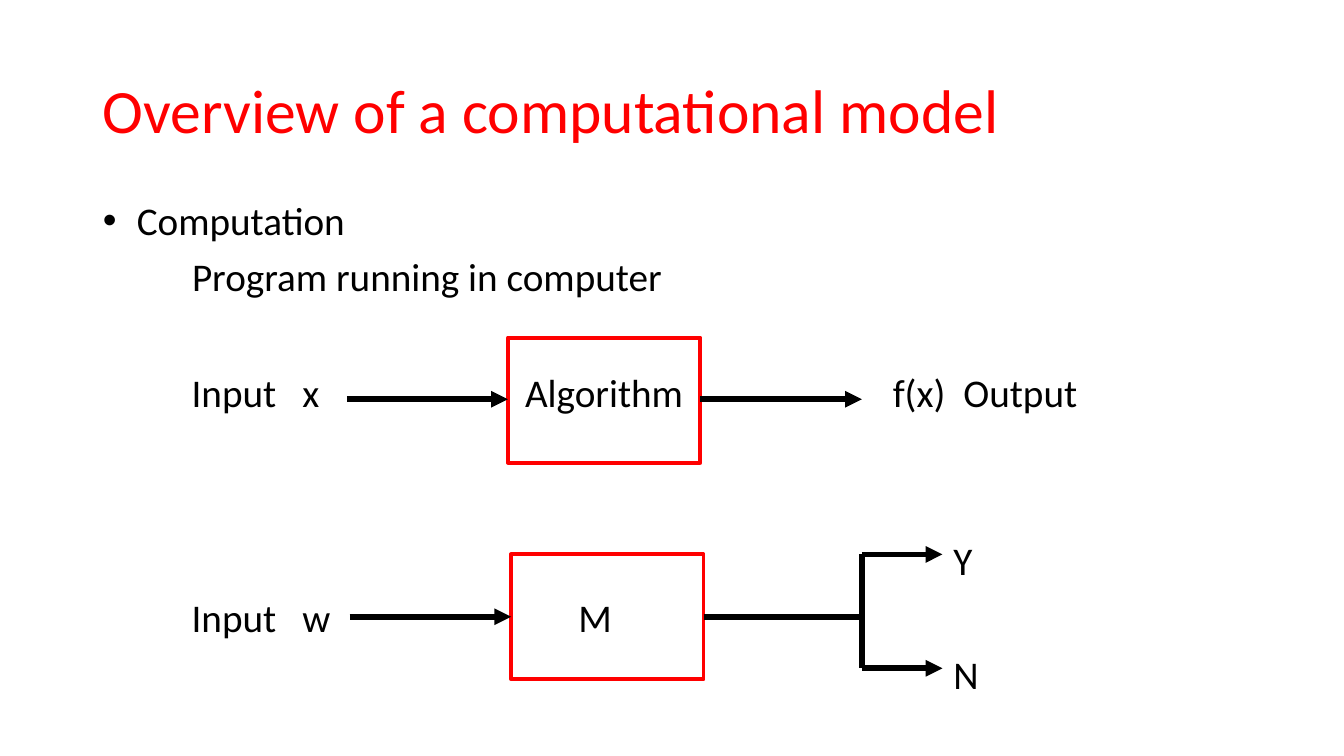
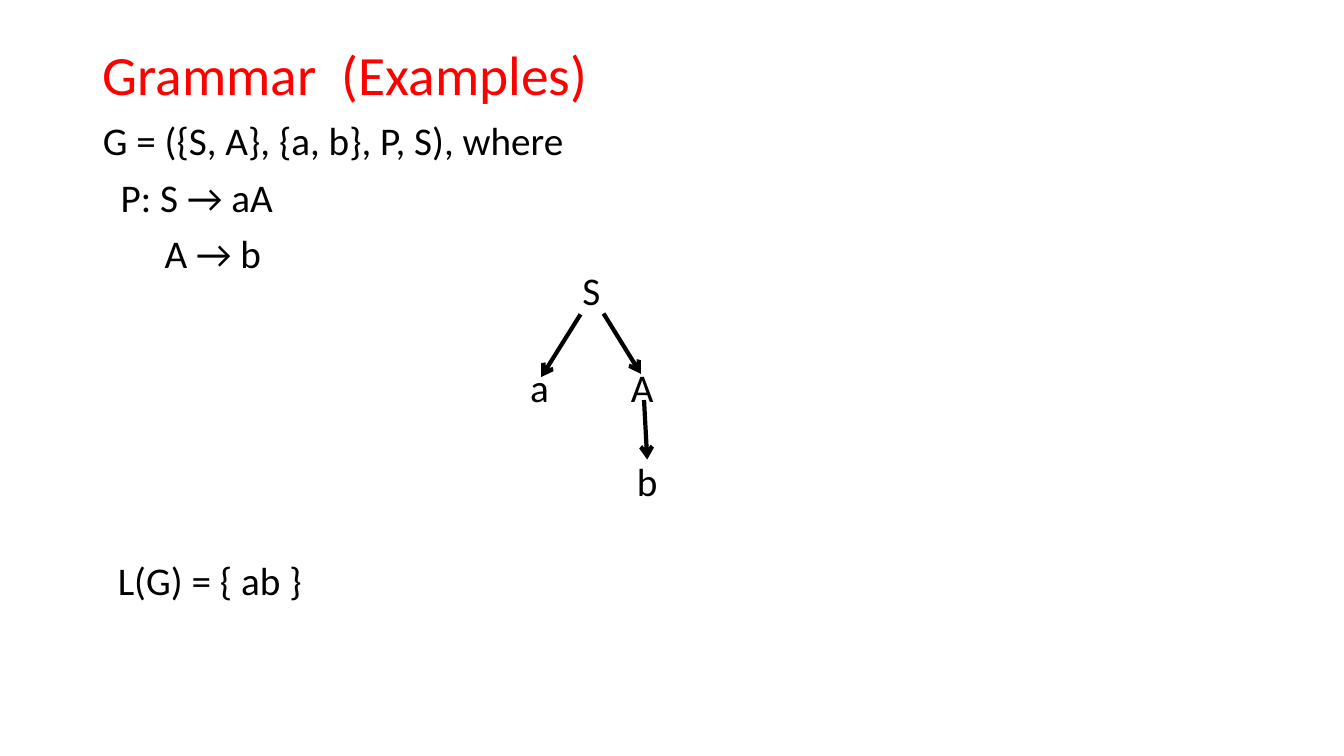
"""Build two slides on a computational model and a grammar example."""
from dataclasses import dataclass

from lxml.etree import SubElement
from pptx import Presentation
from pptx.dml.color import RGBColor
from pptx.enum.shapes import MSO_CONNECTOR as Connector, MSO_SHAPE as Preset
from pptx.enum.text import MSO_ANCHOR as Anchor, MSO_AUTO_SIZE as AutoSize, PP_ALIGN as Align
from pptx.oxml.ns import qn
from pptx.util import Cm, Pt


@dataclass(frozen=True)
class Theme:
    """Colours, font and sizes shared by the slides."""

    font: str = "Calibri"
    accent: RGBColor = RGBColor(0xFF, 0x00, 0x00)
    ink: RGBColor = RGBColor(0x00, 0x00, 0x00)
    title_size: float = 44
    small_title_size: float = 39.6
    text_size: float = 28
    line_spacing: float = 0.9
    paragraph_gap: float = 10
    block_line: float = 2.75
    flow_line: float = 4
    tree_line: float = 3
    margin: float = 2.34
    content_width: float = 29.21
    label_height: float = 1.2


@dataclass(frozen=True)
class Item:
    """A body paragraph with its indent in centimetres."""

    text: str
    indent: float = 0
    bullet: bool = False


@dataclass(frozen=True)
class Label:
    """A one-line text placed by its left edge and middle height."""

    text: str
    left: float
    middle: float
    width: float = 1


@dataclass(frozen=True)
class Block:
    """An outlined box with its text and insets."""

    text: str
    left: float
    top: float
    inset_right: float = 0
    inset_bottom: float = 0
    width: float = 4.85
    height: float = 3.15


@dataclass(frozen=True)
class Link:
    """A straight line with an optional arrowhead at its end."""

    x1: float
    y1: float
    x2: float
    y2: float
    head: str = ""


THEME = Theme()

FLOW_ITEMS = (
    Item("Computation", 0.86, bullet=True),
    Item("Program running in computer", 2.25),
)
GRAMMAR_ITEMS = (
    Item("G = ({S, A}, {a, b}, P, S), where"),
    Item("P: S → aA", 0.45),
    Item("A → b", 1.56),
)

INPUT_LEFT, SYMBOL_LEFT, ANSWER_LEFT = 4.83, 7.62, 24.03
FUNCTION_TEXT, FUNCTION_AXIS, MACHINE_AXIS = 9.88, 10.06, 15.54
FORK, FORK_END, YES_AXIS, NO_AXIS = 21.72, 23.75, 13.97, 16.84

FLOW_BLOCKS = (
    Block("Algorithm", 12.8, 8.51, inset_bottom=0.4),
    Block("M", 12.88, 13.97, inset_right=0.62),
)
FLOW_LABELS = (
    Label("Input", INPUT_LEFT, FUNCTION_TEXT, 2.5),
    Label("x", SYMBOL_LEFT, FUNCTION_TEXT),
    Label("f(x)", 22.5, FUNCTION_TEXT, 1.7),
    Label("Output", 24.28, FUNCTION_TEXT, 3.5),
    Label("Input", INPUT_LEFT, MACHINE_AXIS, 2.5),
    Label("w", SYMBOL_LEFT, MACHINE_AXIS),
    Label("Y", ANSWER_LEFT, 14.12),
    Label("N", ANSWER_LEFT, 16.97),
)
FLOW_LINKS = (
    Link(8.74, FUNCTION_AXIS, 12.8, FUNCTION_AXIS, "triangle"),
    Link(17.65, FUNCTION_AXIS, FORK, FUNCTION_AXIS, "triangle"),
    Link(8.81, MACHINE_AXIS, 12.88, MACHINE_AXIS, "triangle"),
    Link(FORK, YES_AXIS, FORK_END, YES_AXIS, "triangle"),
    Link(FORK, NO_AXIS, FORK_END, NO_AXIS, "triangle"),
    Link(17.73, MACHINE_AXIS, FORK, MACHINE_AXIS),
    Link(FORK, YES_AXIS, FORK, NO_AXIS),
)

TREE_LABELS = (
    Label("S", 14.68, 7.31),
    Label("a", 13.36, 9.75),
    Label("A", 15.9, 9.75),
    Label("b", 16.05, 12.11),
    Label("L(G) = { ab }", 2.97, 14.6, 5.2),
)
TREE_LINKS = (
    Link(14.63, 7.92, 13.64, 9.5, "arrow"),
    Link(15.21, 7.9, 16.15, 9.42, "arrow"),
    Link(16.23, 10.08, 16.31, 11.58, "arrow"),
)


def add_span(para, text: str, size: float, color: RGBColor = THEME.ink) -> None:
    """Add one formatted run to a paragraph."""
    span = para.add_run()
    span.text = text
    span.font.name = THEME.font
    span.font.size = Pt(size)
    span.font.color.rgb = color


def place(shape, left: float, top: float, width: float, height: float) -> None:
    """Set the frame of a shape in centimetres."""
    shape.left, shape.top = Cm(left), Cm(top)
    shape.width, shape.height = Cm(width), Cm(height)


def set_frame(frame, anchor: Anchor, right: float = 0, bottom: float = 0) -> None:
    """Give a text frame its insets, wrapping and anchor."""
    frame.margin_left = frame.margin_top = 0
    frame.margin_right, frame.margin_bottom = Cm(right), Cm(bottom)
    frame.word_wrap = True
    frame.auto_size = AutoSize.NONE
    frame.vertical_anchor = anchor


def set_bullet(para, item: Item) -> None:
    """Set the indent of a paragraph and its bullet or lack of one."""
    props = para._p.get_or_add_pPr()
    indent = Cm(item.indent)
    props.set("marL", str(int(indent)))
    props.set("indent", str(-int(indent) if item.bullet else 0))
    if item.bullet:
        SubElement(props, qn("a:buFont"), typeface="Arial")
        SubElement(props, qn("a:buChar"), char="•")
    else:
        SubElement(props, qn("a:buNone"))


def add_page(deck, title: str, title_size: float, title_height: float,
             items: tuple[Item, ...], body_top: float):
    """Add a slide with its title and body list."""
    page = deck.slides.add_slide(deck.slide_layouts[1])
    heading, body = page.shapes.title, page.placeholders[1]
    place(heading, THEME.margin + 0.25, 1.02, THEME.content_width - 0.5, title_height)
    set_frame(heading.text_frame, Anchor.MIDDLE)
    para = heading.text_frame.paragraphs[0]
    para.alignment = Align.LEFT
    para.line_spacing = THEME.line_spacing
    add_span(para, title, title_size, THEME.accent)

    place(body, THEME.margin + 0.25, body_top, THEME.content_width - 0.5, 1.5 * len(items))
    frame = body.text_frame
    set_frame(frame, Anchor.TOP)
    for index, item in enumerate(items):
        para = frame.add_paragraph() if index else frame.paragraphs[0]
        set_bullet(para, item)
        para.line_spacing = THEME.line_spacing
        para.space_before = Pt(THEME.paragraph_gap if index else 0)
        add_span(para, item.text, THEME.text_size)
    return page


def add_label(page, label: Label) -> None:
    """Draw a one-line label."""
    box = page.shapes.add_textbox(
        Cm(label.left), Cm(label.middle - THEME.label_height / 2),
        Cm(label.width), Cm(THEME.label_height))
    set_frame(box.text_frame, Anchor.MIDDLE)
    add_span(box.text_frame.paragraphs[0], label.text, THEME.text_size)


def add_block(page, block: Block) -> None:
    """Draw an outlined box with centred text."""
    box = page.shapes.add_shape(
        Preset.RECTANGLE, Cm(block.left), Cm(block.top), Cm(block.width), Cm(block.height))
    box.shadow.inherit = False
    box.fill.background()
    box.line.color.rgb = THEME.accent
    box.line.width = Pt(THEME.block_line)
    set_frame(box.text_frame, Anchor.MIDDLE, block.inset_right, block.inset_bottom)
    para = box.text_frame.paragraphs[0]
    para.alignment = Align.CENTER
    add_span(para, block.text, THEME.text_size)


def add_link(page, link: Link, width: float) -> None:
    """Draw a connector with its arrowhead."""
    connector = page.shapes.add_connector(
        Connector.STRAIGHT, Cm(link.x1), Cm(link.y1), Cm(link.x2), Cm(link.y2))
    connector.line.color.rgb = THEME.ink
    connector.line.width = Pt(width)
    props = connector._element.spPr
    if link.head:
        SubElement(props.find(qn("a:ln")), qn("a:tailEnd"), type=link.head)
    SubElement(props, qn("a:effectLst"))


def add_diagram(page, labels: tuple[Label, ...], links: tuple[Link, ...],
                width: float, blocks: tuple[Block, ...] = ()) -> None:
    """Draw the blocks, links and labels of a diagram."""
    for block in blocks:
        add_block(page, block)
    for link in links:
        add_link(page, link, width)
    for label in labels:
        add_label(page, label)


def main() -> None:
    """Build and save the deck."""
    deck = Presentation()
    deck.slide_width, deck.slide_height = Cm(33.87), Cm(19.05)
    flow = add_page(deck, "Overview of a computational model", THEME.title_size, 3.68,
                    FLOW_ITEMS, 5.08)
    add_diagram(flow, FLOW_LABELS, FLOW_LINKS, THEME.flow_line, FLOW_BLOCKS)
    grammar = add_page(deck, "Grammar  (Examples)", THEME.small_title_size, 1.85,
                       GRAMMAR_ITEMS, 3.07)
    add_diagram(grammar, TREE_LABELS, TREE_LINKS, THEME.tree_line)
    deck.save("out.pptx")


if __name__ == "__main__":
    main()
